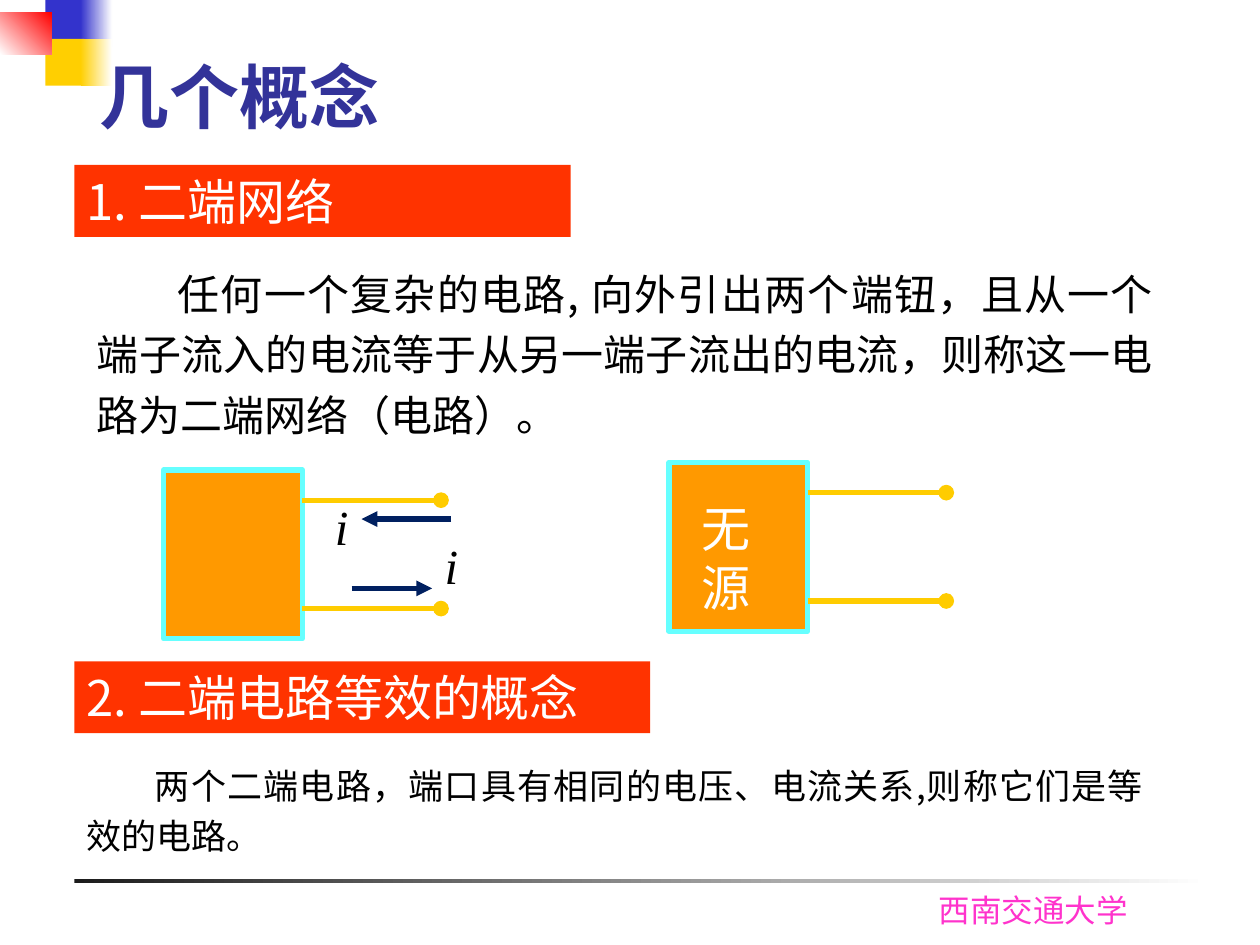
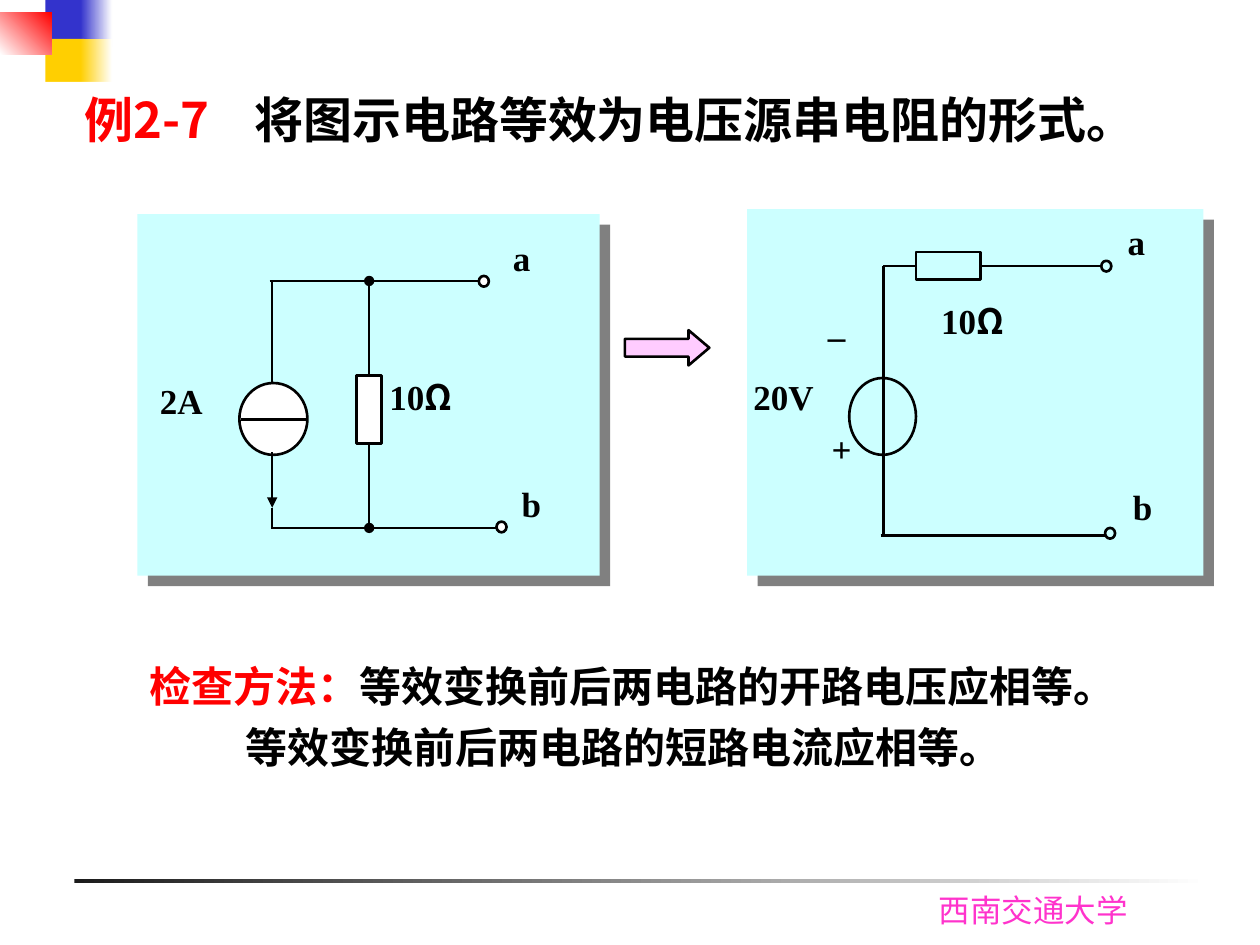
from dataclasses import dataclass

from lxml import etree
from pptx import Presentation
from pptx.dml.color import RGBColor
from pptx.enum import shapes, text
from pptx.oxml.ns import qn
from pptx.util import Emu, Inches, Pt

# The slide is a grid of 100 columns by 75 rows
COLUMNS, ROWS = 100, 75
CELL = Inches(10) // COLUMNS

SANS, SERIF, TITLE_FONT, PLAIN = "Noto Sans CJK SC", "Times New Roman", "Cabin", "Arial"
BLACK, WHITE, RED, GREY = "000000", "FFFFFF", "FF0000", "808080"
BLUE, YELLOW, CHARCOAL, PINK = "3333CC", "FFCF01", "1C1C1C", "FF33CC"
TITLE_BLUE, BANNER_RED = "333399", "FF3300"
ORANGE, AQUA, GOLD, NAVY = "FF9900", "66FFFF", "FFCC00", "002060"
PALE_AQUA, PALE_PINK = "CCFFFF", "FFCCFF"

RECT, OVAL = shapes.MSO_SHAPE.RECTANGLE, shapes.MSO_SHAPE.OVAL
JUSTIFY, LEFT = text.PP_ALIGN.JUSTIFY, text.PP_ALIGN.LEFT


@dataclass
class Box:
    """An area of the grid, in columns and rows."""
    left: float
    top: float
    width: float
    height: float

    def area(self, left, top, width, height):
        return Box(self.left + left, self.top + top, width, height)

    def point(self, column, row):
        return self.left + column, self.top + row

    def emu(self):
        return [cells(n) for n in (self.left, self.top, self.width, self.height)]


def cells(count):
    return Emu(round(count * CELL))


def color(value):
    return RGBColor.from_string(value)


# ---- Basic parts ----

def add_form(page, box, fill=None, line=None, width=1.5, form=RECT):
    shape = page.shapes.add_shape(form, *box.emu())
    shape.shadow.inherit = False
    if fill:
        shape.fill.solid()
        shape.fill.fore_color.rgb = color(fill)
    else:
        shape.fill.background()
    if line:
        shape.line.color.rgb = color(line)
        shape.line.width = Pt(width)
    else:
        shape.line.fill.background()
    return shape


def add_fade(page, box, start, end, angle=0):
    shape = add_form(page, box)
    shape.fill.gradient()
    shape.fill.gradient_angle = angle
    for stop, value, position in zip(shape.fill.gradient_stops, (start, end), (0, 1)):
        stop.color.rgb = color(value)
        stop.position = position


def add_line(page, start, end, stroke=BLACK, width=1.5, head=None, tail=None):
    line = page.shapes.add_connector(
        shapes.MSO_CONNECTOR.STRAIGHT, *(cells(n) for n in (*start, *end)))
    line.line.color.rgb = color(stroke)
    line.line.width = Pt(width)
    properties = line.element.spPr
    for tag, kind in (("a:headEnd", head), ("a:tailEnd", tail)):
        if kind:
            etree.SubElement(properties.find(qn("a:ln")), qn(tag), type=kind)
    etree.SubElement(properties, qn("a:effectLst"))
    return line


def add_shadow(shape, fill):
    effects = shape.element.spPr.find(qn("a:effectLst"))
    shadow = etree.SubElement(effects, qn("a:outerShdw"), dist=str(Pt(8.5)),
                              dir="2700000", algn="tl", rotWithShape="0")
    etree.SubElement(shadow, qn("a:srgbClr"), val=fill)


def set_text(shape, paragraphs, size, align=LEFT, inset=(1, 0.5), spacing=None,
             before=0, indents=(0,), anchor=text.MSO_ANCHOR.TOP):
    """Each paragraph is a list of runs: (words, font, colour, style letters)."""
    frame = shape.text_frame
    frame.word_wrap = True
    frame.vertical_anchor = anchor
    frame.margin_left = frame.margin_right = cells(inset[0])
    frame.margin_top = frame.margin_bottom = cells(inset[1])
    for index, runs in enumerate(paragraphs):
        para = frame.paragraphs[0] if index == 0 else frame.add_paragraph()
        para.alignment = align
        if spacing:
            para.line_spacing = spacing
        if index:
            para.space_before = Pt(before)
        if indents[index]:
            para._p.get_or_add_pPr().set("indent", str(cells(indents[index])))
        for words, font, fill, style in runs:
            span = para.add_run()
            span.text = words
            span.font.name = font
            span.font.size = Pt(size)
            span.font.color.rgb = color(fill)
            span.font.bold = "b" in style
            span.font.italic = "i" in style
            etree.SubElement(span.font._element, qn("a:ea"), typeface=font)


def add_text(page, box, paragraphs, size, **options):
    shape = page.shapes.add_textbox(*box.emu())
    set_text(shape, paragraphs, size, **options)
    return shape


# ---- Shared by both slides ----

def add_footer(page, box):
    add_fade(page, box.area(0, 0, box.width, 0.3), CHARCOAL, WHITE)
    add_text(page, box.area(67.6, 0.4, 18.1, 4),
             [[("西南交通大学", TITLE_FONT, PINK, "")]], 18)


def add_ornament(page, box):
    for top, fill in ((0, BLUE), (3.1, YELLOW)):
        add_form(page, box.area(3.6, top, 3.1, 3.7), fill)
        add_fade(page, box.area(6.4, top, 2.5, 3.7), fill, WHITE)
    add_fade(page, box.area(0, 1, 4.1, 3.3), WHITE, RED, 45)


def new_page(deck):
    page = deck.slides.add_slide(deck.slide_layouts[6])
    add_footer(page, Box(5.9, 69.8, 90, 4.4))
    add_ornament(page, Box(0, 0, 9, 6.8))
    return page


# ---- Concepts slide ----

def add_banner(page, box, words):
    set_text(add_form(page, box, BANNER_RED), [[(words, SANS, WHITE, "")]], 28,
             align=JUSTIFY)


def add_definition(page, box, words, size, indent):
    add_text(page, box, [[(words, SANS, BLACK, "")]], size, align=JUSTIFY,
             spacing=1.2, indents=(indent,))


def add_network(page, box):
    add_form(page, box, ORANGE, AQUA, 3)
    for row in (2.4, 11):
        add_line(page, box.point(box.width, row), box.point(box.width + 11, row),
                 GOLD, 3, tail="oval")


def add_currents(page, box):
    for start, end, row in ((22.8, 15.7, 3.9), (14.9, 21.3, 9.4)):
        add_line(page, box.point(start, row), box.point(end, row), NAVY, 3,
                 tail="triangle")
    for left, top in ((21.3, 4.7), (12.6, 1.6)):
        add_text(page, box.area(left, top, 3.9, 5.7),
                 [[("i", SERIF, BLACK, "i")]], 28, align=JUSTIFY)


def concepts_slide(deck):
    page = new_page(deck)
    add_text(page, Box(6.9, 4, 86.3, 7.2), [[("几个概念", TITLE_FONT, TITLE_BLUE, "b")]],
             40, anchor=text.MSO_ANCHOR.MIDDLE)
    add_banner(page, Box(5.9, 13.1, 39.4, 5.7), "1. 二端网络")
    add_definition(page, Box(6.7, 20, 85.8, 15.4),
                   "任何一个复杂的电路, 向外引出两个端钮，且从一个端子流入的电流等于"
                   "从另一端子流出的电流，则称这一电路为二端网络（电路）。", 24, 6.4)
    any_network, passive_network = Box(13, 37.3, 11, 13.4), Box(53.1, 36.7, 11, 13.4)
    add_network(page, any_network)
    add_currents(page, any_network)
    add_network(page, passive_network)
    add_text(page, passive_network.area(1.6, 2.4, 7.1, 10.4),
             [[("无源", PLAIN, WHITE, "")]], 28)
    add_banner(page, Box(5.9, 52.5, 45.7, 5.7), "2. 二端电路等效的概念")
    add_definition(page, Box(5.9, 59.5, 85.8, 9),
                   "两个二端电路，端口具有相同的电压、电流关系,则称它们是等效的电路。",
                   20, 5.4)


# ---- Example slide ----

def add_panel(page, box):
    add_shadow(add_form(page, box, PALE_AQUA), GREY)


def add_labels(page, box, labels):
    for words, left, top, width in labels:
        runs = [(words.rstrip("Ω"), SERIF, BLACK, "b")]
        if words.endswith("Ω"):
            runs.append(("Ω", SANS, BLACK, "b"))
        add_text(page, box.area(left, top, width, 5.5), [runs], 20,
                 align=JUSTIFY, inset=(0, 0))


def add_terminals(page, box, places, fill=None):
    for left, top in places:
        add_form(page, box.area(left, top, 0.8, 0.85), fill, BLACK, form=OVAL)


def add_current_source_circuit(page, box):
    add_panel(page, box)
    source, branch, top, bottom = 10.7, 18.4, 5.3, 24.9
    # Source branch
    add_line(page, box.point(source, top), box.point(source, 13.4))
    add_form(page, box.area(8.1, 13.4, 5.4, 5.7), WHITE, BLACK, form=OVAL)
    add_line(page, box.point(8.2, 16.3), box.point(13.5, 16.3))
    add_line(page, box.point(source, 18.9), box.point(source, 23.3), tail="triangle")
    add_line(page, box.point(source, 23.3), box.point(source, bottom))
    # Resistor branch
    add_line(page, box.point(branch, top), box.point(branch, bottom),
             head="oval", tail="oval")
    add_form(page, box.area(branch - 1, 12.8, 2, 5.4), WHITE, BLACK)
    # Rails and terminals
    add_line(page, box.point(10.5, top), box.point(27.1, top), width=0.75)
    add_line(page, box.point(10.6, bottom), box.point(28.7, bottom))
    add_terminals(page, box, ((27.1, 4.9), (28.5, 24.4)), WHITE)
    add_labels(page, box, (("a", 29.8, 1.8, 4.2), ("b", 30.5, 21.3, 4.2),
                           ("10Ω", 20, 12.8, 9.8), ("2A", 1.8, 13.1, 7.3)))


def add_voltage_source_circuit(page, box):
    add_panel(page, box)
    source, top, bottom = 10.8, 4.5, 25.9
    # Source branch
    add_form(page, box.area(8.1, 13.4, 5.3, 6.1), None, BLACK, form=OVAL)
    add_line(page, box.point(source, top), box.point(source, bottom))
    # Rails, resistor and terminals
    resistor = add_form(page, box.area(13.4, top - 1.1, 5.1, 2.2), None, BLACK)
    add_line(page, box.point(source, top), box.point(13.4, top)).end_connect(resistor, 1)
    add_line(page, box.point(18.5, top), box.point(28.1, top)).begin_connect(resistor, 3)
    add_line(page, box.point(10.6, bottom), box.point(28.5, bottom))
    add_terminals(page, box, ((28.1, 4.1), (28.4, 25.3)))
    add_labels(page, box, (("a", 30.2, 0.9, 4.1), ("b", 30.6, 21.9, 4.1),
                           ("10Ω", 15.4, 7.2, 9.7), ("20V", 0.5, 13.2, 7.2),
                           ("+", 6.7, 17.3, 3.8), ("_", 6.4, 7.4, 2.8)))


def add_question(page, box):
    shape = add_form(page, box, WHITE)
    set_text(shape, [[("例2-7\t", SANS, RED, "b"),
                      ("将图示电路等效为电压源串电阻的形式。", SANS, BLACK, "b")]],
             28, anchor=text.MSO_ANCHOR.MIDDLE)
    shape.text_frame.margin_left = cells(3.3)
    properties = shape.text_frame.paragraphs[0]._p.get_or_add_pPr()
    stops = etree.SubElement(properties, qn("a:tabLst"))
    etree.SubElement(stops, qn("a:tab"), pos=str(cells(13.5)), algn="l")


def example_slide(deck):
    page = new_page(deck)
    add_question(page, Box(3.4, 6.5, 90, 5.8))
    add_voltage_source_circuit(page, Box(59.3, 16.6, 36.2, 29.1))
    arrow = add_form(page, Box(49.6, 26.2, 6.7, 2.8), PALE_PINK, BLACK,
                     form=shapes.MSO_SHAPE.RIGHT_ARROW)
    arrow.adjustments[1] = 0.59
    add_text(page, Box(10.9, 51.9, 83.5, 15.1),
             [[("检查方法：", SANS, RED, "b"),
               ("等效变换前后两电路的开路电压应相等。", SANS, BLACK, "b")],
              [("等效变换前后两电路的短路电流应相等。", SANS, BLACK, "b")]],
             24, align=JUSTIFY, before=6, indents=(0, 7.6))
    add_current_source_circuit(page, Box(10.9, 17, 36.7, 28.7))


def main():
    deck = Presentation()
    deck.slide_width, deck.slide_height = cells(COLUMNS), cells(ROWS)
    concepts_slide(deck)
    example_slide(deck)
    deck.save("out.pptx")


if __name__ == "__main__":
    main()
